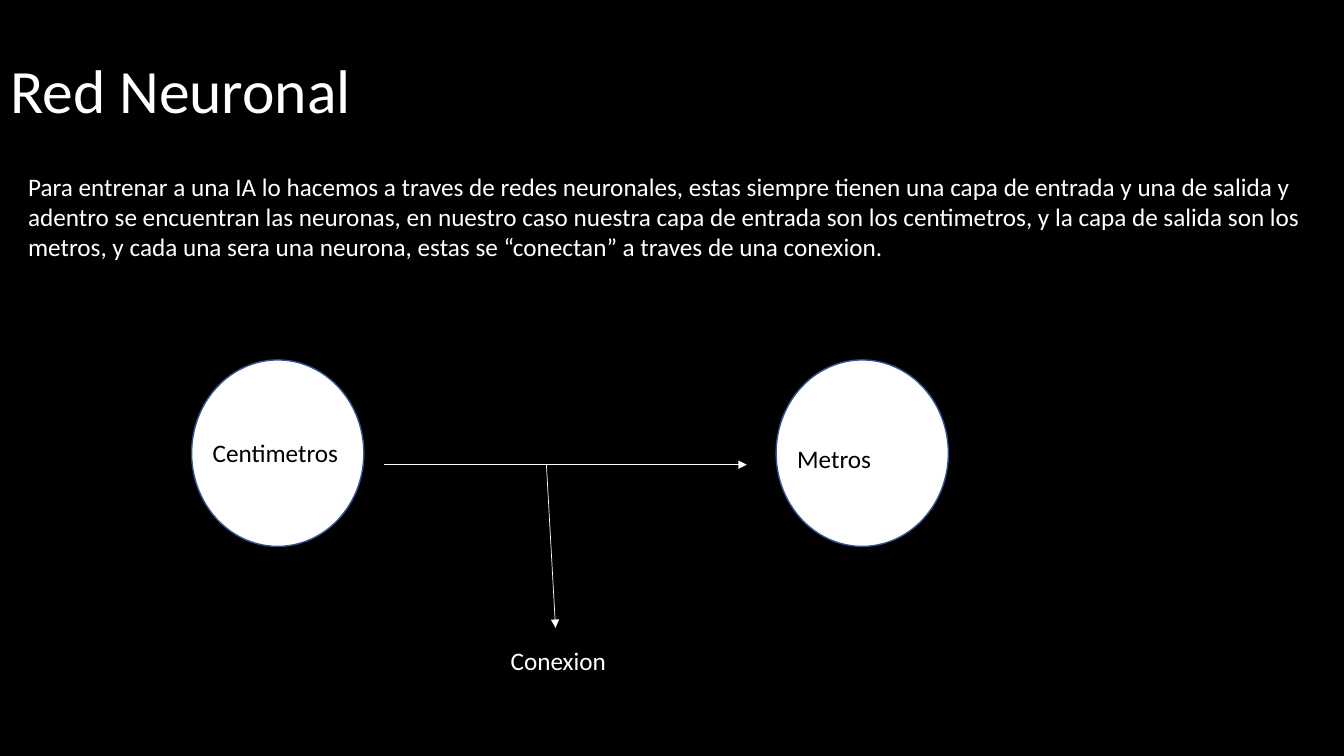
from lxml.etree import SubElement
from pptx import Presentation
from pptx.dml.color import RGBColor
from pptx.enum.shapes import MSO_CONNECTOR as Connector, MSO_SHAPE as Shape
from pptx.enum.text import MSO_ANCHOR as Anchor, MSO_AUTO_SIZE as AutoSize, PP_ALIGN as Align
from pptx.oxml.ns import qn
from pptx.util import Cm, Pt

BLACK, WHITE, BLUE = "000000", "FFFFFF", "325491"


def color(value):
    return RGBColor.from_string(value)


def write(frame, text, size, text_color):
    frame.word_wrap = True
    paragraph = frame.paragraphs[0]
    paragraph.alignment = Align.LEFT
    run = paragraph.add_run()
    run.text = text
    run.font.name = "Calibri"
    run.font.size = Pt(size)
    run.font.color.rgb = color(text_color)


presentation = Presentation()
presentation.slide_width = Cm(33.87)
presentation.slide_height = Cm(19.05)
slide = presentation.slides.add_slide(presentation.slide_layouts[5])
slide.background.fill.solid()
slide.background.fill.fore_color.rgb = color(BLACK)

# Title
title = slide.shapes.title
title.left, title.top, title.width, title.height = Cm(0), Cm(0), Cm(33.87), Cm(4.7)
title.text_frame.auto_size = AutoSize.NONE
title.text_frame.vertical_anchor = Anchor.MIDDLE
write(title.text_frame, "Red Neuronal", 44, WHITE)
title.text_frame.paragraphs[0].line_spacing = 0.9

# Neurons
for left in (4.83, 19.56):
    neuron = slide.shapes.add_shape(Shape.OVAL, Cm(left), Cm(9.07), Cm(4.34), Cm(4.7))
    neuron.shadow.inherit = False
    neuron.fill.solid()
    neuron.fill.fore_color.rgb = color(WHITE)
    neuron.line.color.rgb = color(BLUE)
    neuron.line.width = Pt(1)

# Arrows: the connection between the neurons, and the pointer to its label
for start_x, start_y, end_x, end_y in (
    (9.68, 11.71, 18.82, 11.71),
    (13.77, 11.71, 14, 15.82),
):
    arrow = slide.shapes.add_connector(
        Connector.STRAIGHT, Cm(start_x), Cm(start_y), Cm(end_x), Cm(end_y)
    )
    arrow.line.color.rgb = color(WHITE)
    arrow.line.width = Pt(0.5)
    SubElement(arrow.line._get_or_add_ln(), qn("a:tailEnd"), type="triangle")
    SubElement(arrow._element.spPr, qn("a:effectLst"))

# Explanation and labels
explanation = (
    "Para entrenar a una IA lo hacemos a traves de redes neuronales, estas siempre "
    "tienen una capa de entrada y una de salida y adentro se encuentran las neuronas, "
    "en nuestro caso nuestra capa de entrada son los centimetros, y la capa de salida "
    "son los metros, y cada una sera una neurona, estas se “conectan” a traves de una "
    "conexion."
)
for text, left, top, width, height, text_color in (
    (explanation, 0.46, 4.19, 32.94, 3.33, WHITE),
    ("Centimetros", 5.11, 10.9, 3.78, 1.02, BLACK),
    ("Metros", 19.84, 11.05, 3.78, 1.02, BLACK),
    ("Conexion", 12.62, 16.13, 3.78, 1.02, WHITE),
):
    box = slide.shapes.add_textbox(Cm(left), Cm(top), Cm(width), Cm(height))
    box.text_frame.auto_size = AutoSize.SHAPE_TO_FIT_TEXT
    write(box.text_frame, text, 18, text_color)

presentation.save("out.pptx")
